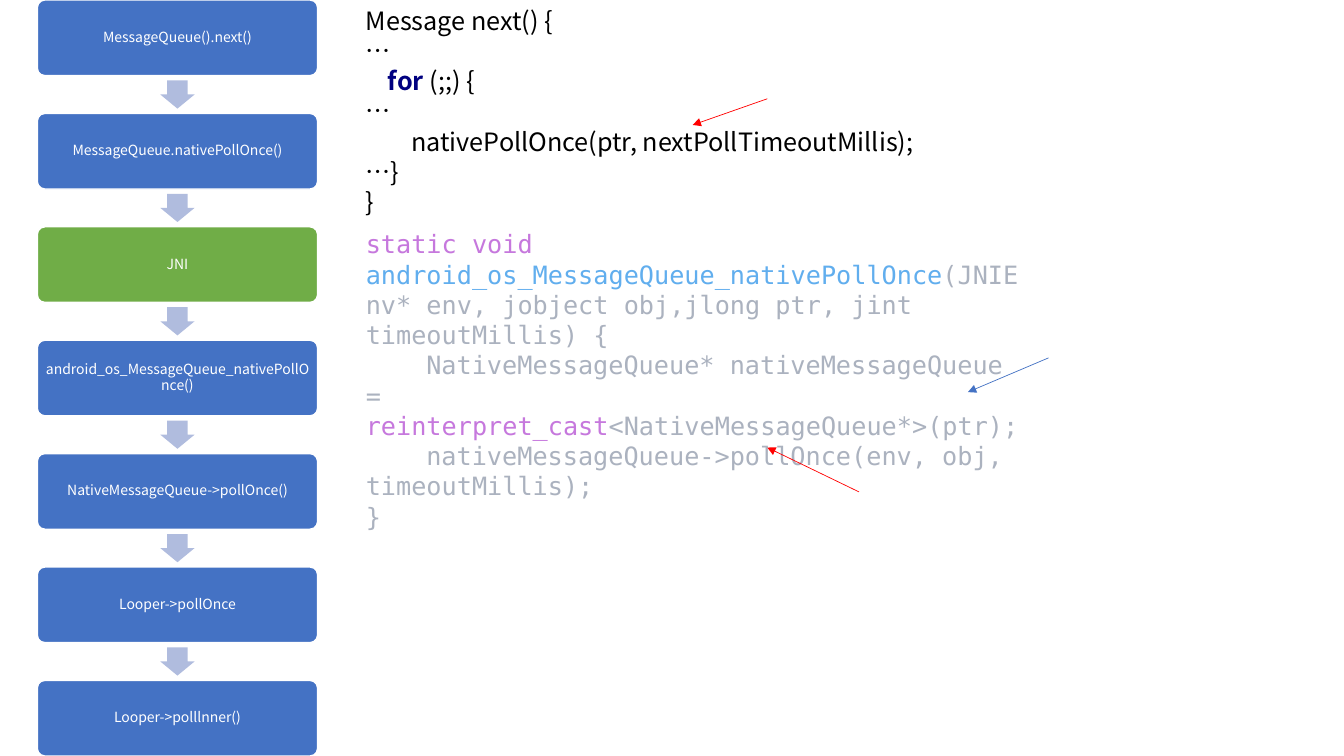
from dataclasses import dataclass
from typing import NamedTuple

from lxml.etree import SubElement
from pptx import Presentation
from pptx.dml.color import RGBColor
from pptx.enum.shapes import MSO_CONNECTOR as Connector, MSO_SHAPE as Shape
from pptx.enum.text import MSO_ANCHOR as Anchor, PP_ALIGN as Align
from pptx.oxml.ns import qn
from pptx.slide import Slide
from pptx.util import Inches, Pt


@dataclass(frozen=True)
class Theme:
    white: str = "FFFFFF"
    black: str = "000000"
    blue: str = "4472C4"
    green: str = "70AD47"
    pale_blue: str = "B0BCDE"
    red: str = "FF0000"
    navy: str = "000080"
    keyword: str = "C678DD"
    function: str = "61AEEE"
    code: str = "ABB2BF"
    sans: str = "Noto Sans CJK SC"
    mono: str = "DejaVu Sans Mono"
    step_size: int = 10
    code_size: int = 18


class Step(NamedTuple):
    text: str
    fill: str


class CodeRun(NamedTuple):
    text: str
    color: str
    bold: bool = False


class CodeLine(NamedTuple):
    runs: list[CodeRun]
    indent: float = 0


class CodeBlock(NamedTuple):
    top: float
    width: float
    height: float
    font: str
    lines: list[CodeLine]


class Pointer(NamedTuple):
    start: tuple[float, float]
    end: tuple[float, float]
    color: str


THEME = Theme()
SLIDE_WIDTH, SLIDE_HEIGHT = 13.33, 7.5
STEP_LEFT, STEP_WIDTH, STEP_HEIGHT = 0.37, 2.78, 0.75
ARROW_WIDTH, ARROW_HEIGHT = 0.34, 0.28
CODE_LEFT = 3.53

STEPS = [
    Step("MessageQueue().next()", THEME.blue),
    Step("MessageQueue.nativePollOnce()", THEME.blue),
    Step("JNI", THEME.green),
    Step("android_os_MessageQueue_nativePollOnce()", THEME.blue),
    Step("NativeMessageQueue->pollOnce()", THEME.blue),
    Step("Looper->pollOnce", THEME.blue),
    Step("Looper->polllnner()", THEME.blue),
]

JAVA_LINES = [
    CodeLine([CodeRun("Message next() {", THEME.black)]),
    CodeLine([CodeRun("…", THEME.black)]),
    CodeLine([CodeRun("for ", THEME.navy, True), CodeRun("(;;) {", THEME.black)], 0.22),
    CodeLine([CodeRun("…", THEME.black)]),
    CodeLine([CodeRun("nativePollOnce(ptr, nextPollTimeoutMillis);", THEME.black)], 0.45),
    CodeLine([CodeRun("…}", THEME.black)]),
    CodeLine([CodeRun("}", THEME.black)]),
]

NATIVE_LINES = [
    CodeLine([
        CodeRun("static void ", THEME.keyword),
        CodeRun("android_os_MessageQueue_nativePollOnce", THEME.function),
        CodeRun("(JNIEnv* env, jobject obj,jlong ptr, jint timeoutMillis) {", THEME.code),
    ]),
    CodeLine([
        CodeRun("NativeMessageQueue* nativeMessageQueue = ", THEME.code),
        CodeRun("reinterpret_cast", THEME.keyword),
        CodeRun("<NativeMessageQueue*>(ptr);", THEME.code),
    ], 0.6),
    CodeLine([CodeRun("nativeMessageQueue->pollOnce(env, obj, timeoutMillis);", THEME.code)], 0.6),
    CodeLine([CodeRun("}", THEME.code)]),
]

CODE_BLOCKS = [
    CodeBlock(0, 6.64, 2.22, THEME.sans, JAVA_LINES),
    CodeBlock(2.22, 6.67, 2.83, THEME.mono, NATIVE_LINES),
]

POINTERS = [
    Pointer((7.61, 0.98), (6.87, 1.24), THEME.red),
    Pointer((8.52, 4.88), (7.61, 4.44), THEME.red),
    Pointer((10.4, 3.55), (9.6, 3.89), THEME.blue),
]


def rgb(color: str) -> RGBColor:
    return RGBColor.from_string(color)


def draw_step(slide: Slide, step: Step, top: float) -> None:
    shape = slide.shapes.add_shape(
        Shape.ROUNDED_RECTANGLE, Inches(STEP_LEFT), Inches(top), Inches(STEP_WIDTH), Inches(STEP_HEIGHT))
    shape.adjustments[0] = 0.1
    shape.shadow.inherit = False
    shape.fill.solid()
    shape.fill.fore_color.rgb = rgb(step.fill)
    shape.line.color.rgb = rgb(THEME.white)
    shape.line.width = Pt(1)
    frame = shape.text_frame
    frame.word_wrap = True
    frame.vertical_anchor = Anchor.MIDDLE
    frame.margin_left = frame.margin_right = frame.margin_top = frame.margin_bottom = Inches(0.04)
    frame.text = step.text
    paragraph = frame.paragraphs[0]
    paragraph.alignment = Align.CENTER
    paragraph.line_spacing = 0.9
    font = paragraph.runs[0].font
    font.name = THEME.sans
    font.size = Pt(THEME.step_size)
    font.color.rgb = rgb(THEME.white)


def draw_step_arrow(slide: Slide, center_y: float) -> None:
    left = STEP_LEFT + (STEP_WIDTH - ARROW_WIDTH) / 2
    shape = slide.shapes.add_shape(
        Shape.DOWN_ARROW, Inches(left), Inches(center_y - ARROW_HEIGHT / 2),
        Inches(ARROW_WIDTH), Inches(ARROW_HEIGHT))
    shape.adjustments[0] = 0.6
    shape.adjustments[1] = 0.5
    shape.shadow.inherit = False
    shape.fill.solid()
    shape.fill.fore_color.rgb = rgb(THEME.pale_blue)
    shape.line.fill.background()


def draw_code(slide: Slide, block: CodeBlock) -> None:
    box = slide.shapes.add_textbox(
        Inches(CODE_LEFT), Inches(block.top), Inches(block.width), Inches(block.height))
    frame = box.text_frame
    frame.word_wrap = True
    for index, line in enumerate(block.lines):
        paragraph = frame.add_paragraph() if index else frame.paragraphs[0]
        properties = paragraph._p.get_or_add_pPr()
        properties.set("marL", "0")
        properties.set("indent", str(Inches(line.indent)))
        for part in line.runs:
            run = paragraph.add_run()
            run.text = part.text
            run.font.name = block.font
            run.font.size = Pt(THEME.code_size)
            run.font.bold = part.bold
            run.font.color.rgb = rgb(part.color)


def draw_pointer(slide: Slide, pointer: Pointer) -> None:
    connector = slide.shapes.add_connector(
        Connector.STRAIGHT, *map(Inches, pointer.start), *map(Inches, pointer.end))
    connector.line.color.rgb = rgb(pointer.color)
    connector.line.width = Pt(0.5)
    SubElement(connector.line._get_or_add_ln(), qn("a:tailEnd"), type="triangle")
    SubElement(connector._element.spPr, qn("a:effectLst"))


presentation = Presentation()
presentation.slide_width = Inches(SLIDE_WIDTH)
presentation.slide_height = Inches(SLIDE_HEIGHT)
slide = presentation.slides.add_slide(presentation.slide_layouts[6])

pitch = (SLIDE_HEIGHT - STEP_HEIGHT) / (len(STEPS) - 1)
for index, step in enumerate(STEPS):
    draw_step(slide, step, index * pitch)
    if index:
        draw_step_arrow(slide, index * pitch - (pitch - STEP_HEIGHT) / 2)
for block in CODE_BLOCKS:
    draw_code(slide, block)
for pointer in POINTERS:
    draw_pointer(slide, pointer)

presentation.save("out.pptx")
